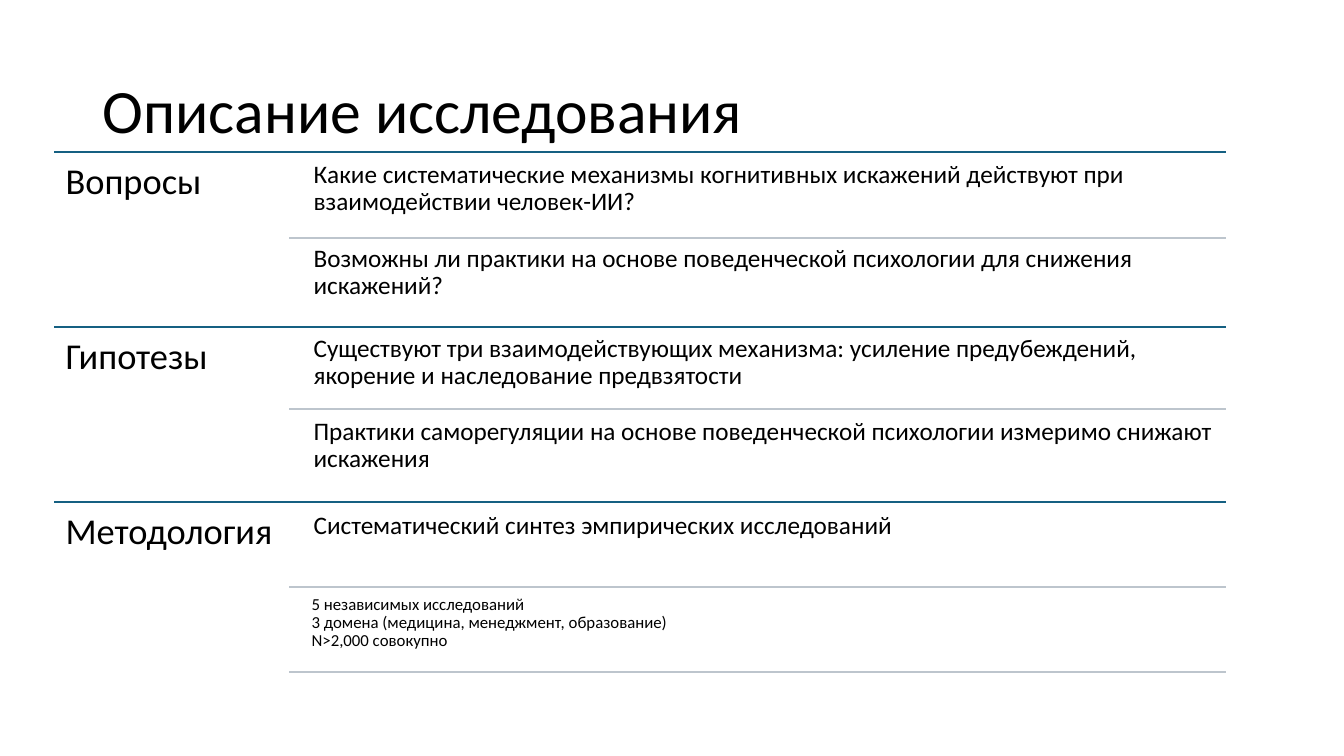
from pptx import Presentation
from pptx.dml.color import RGBColor
from pptx.enum.shapes import MSO_CONNECTOR
from pptx.enum.text import MSO_ANCHOR, MSO_AUTO_SIZE, PP_ALIGN
from pptx.oxml.ns import qn
from pptx.util import Emu, Pt
from lxml import etree

STRAIGHT = MSO_CONNECTOR.STRAIGHT
TOP, MIDDLE = MSO_ANCHOR.TOP, MSO_ANCHOR.MIDDLE
NO_FIT = MSO_AUTO_SIZE.NONE
LEFT = PP_ALIGN.LEFT

BLACK = RGBColor(0x00, 0x00, 0x00)
TEAL = RGBColor(0x15, 0x60, 0x82)
GREY = RGBColor(0xBD, 0xC5, 0xCD)
FONT = "Calibri"
TITLE_ONLY = 5

# Lengths are px, 100 to the inch
SCALE = 9144
PAGE_WIDTH, PAGE_HEIGHT = 1333, 750
TABLE_LEFT, TABLE_WIDTH = 54, 1162
LABEL_WIDTH, LABEL_HEIGHT = 232, 173
RULE_INDENT, TEXT_INDENT = 233, 250

# Each section: top, label, row height, entries (offset, size, inset, text), rule offsets
SECTIONS = [
    (151, "Вопросы", 81, [
        (2, 18, 7, "Какие систематические механизмы когнитивных искажений "
                   "действуют при взаимодействии человек-ИИ?"),
        (86, 18, 7, "Возможны ли практики на основе поведенческой психологии "
                    "для снижения искажений?"),
    ], [85]),
    (324, "Гипотезы", 78, [
        (2, 18, 7, "Существуют три взаимодействующих механизма: усиление "
                   "предубеждений, якорение и наследование предвзятости"),
        (84, 18, 7, "Практики саморегуляции на основе поведенческой психологии "
                    "измеримо снижают искажения"),
    ], [82]),
    (498, "Методология", 81, [
        (4, 18, 7, "Систематический синтез эмпирических исследований"),
        (88, 12, 5, "5 независимых исследований\n"
                    "3 домена (медицина, менеджмент, образование)\n"
                    "N>2,000 совокупно"),
    ], [84, 169]),
]


def px(length):
    return Emu(length * SCALE)


def write_text(box, text, size, inset, anchor=TOP):
    """Fill a box with one paragraph; a newline becomes a line break."""
    frame = box.text_frame
    frame.word_wrap = True
    frame.auto_size = NO_FIT
    frame.vertical_anchor = anchor
    frame.margin_left = frame.margin_right = px(inset)
    frame.margin_top = frame.margin_bottom = px(inset)
    para = frame.paragraphs[0]
    para.alignment = LEFT
    para.line_spacing = 0.9
    for index, line in enumerate(text.split("\n")):
        if index:
            para.add_line_break()
        span = para.add_run()
        span.text = line
        span.font.name = FONT
        span.font.size = Pt(size)
        span.font.color.rgb = BLACK


def add_text(page, left, top, width, height, text, size, inset):
    box = page.shapes.add_textbox(px(left), px(top), px(width), px(height))
    write_text(box, text, size, inset)


def add_rule(page, left, right, top, color):
    rule = page.shapes.add_connector(STRAIGHT, px(left), px(top), px(right), px(top))
    rule.line.color.rgb = color
    rule.line.width = Pt(1.5)
    etree.SubElement(rule._element.spPr, qn("a:effectLst"))


def add_title(page, left, top, width, height, text):
    title = page.shapes.title
    title.left, title.top = px(left), px(top)
    title.width, title.height = px(width), px(height)
    write_text(title, text, 44, 10, MIDDLE)


def add_section(page, left, top, width, label, row_height, entries, rules):
    """Draw a heading on the left and its ruled entries on the right."""
    right = left + width
    add_rule(page, left, right, top, TEAL)
    add_text(page, left, top, LABEL_WIDTH, LABEL_HEIGHT, label, 26, 11)
    for offset, size, inset, text in entries:
        add_text(page, left + TEXT_INDENT, top + offset, width - TEXT_INDENT,
                 row_height, text, size, inset)
    for offset in rules:
        add_rule(page, left + RULE_INDENT, right, top + offset, GREY)


def main():
    deck = Presentation()
    deck.slide_width, deck.slide_height = px(PAGE_WIDTH), px(PAGE_HEIGHT)
    page = deck.slides.add_slide(deck.slide_layouts[TITLE_ONLY])
    add_title(page, 92, 40, 1150, 145, "Описание исследования")
    for top, label, row_height, entries, rules in SECTIONS:
        add_section(page, TABLE_LEFT, top, TABLE_WIDTH, label, row_height, entries, rules)
    deck.save("out.pptx")


if __name__ == "__main__":
    main()
